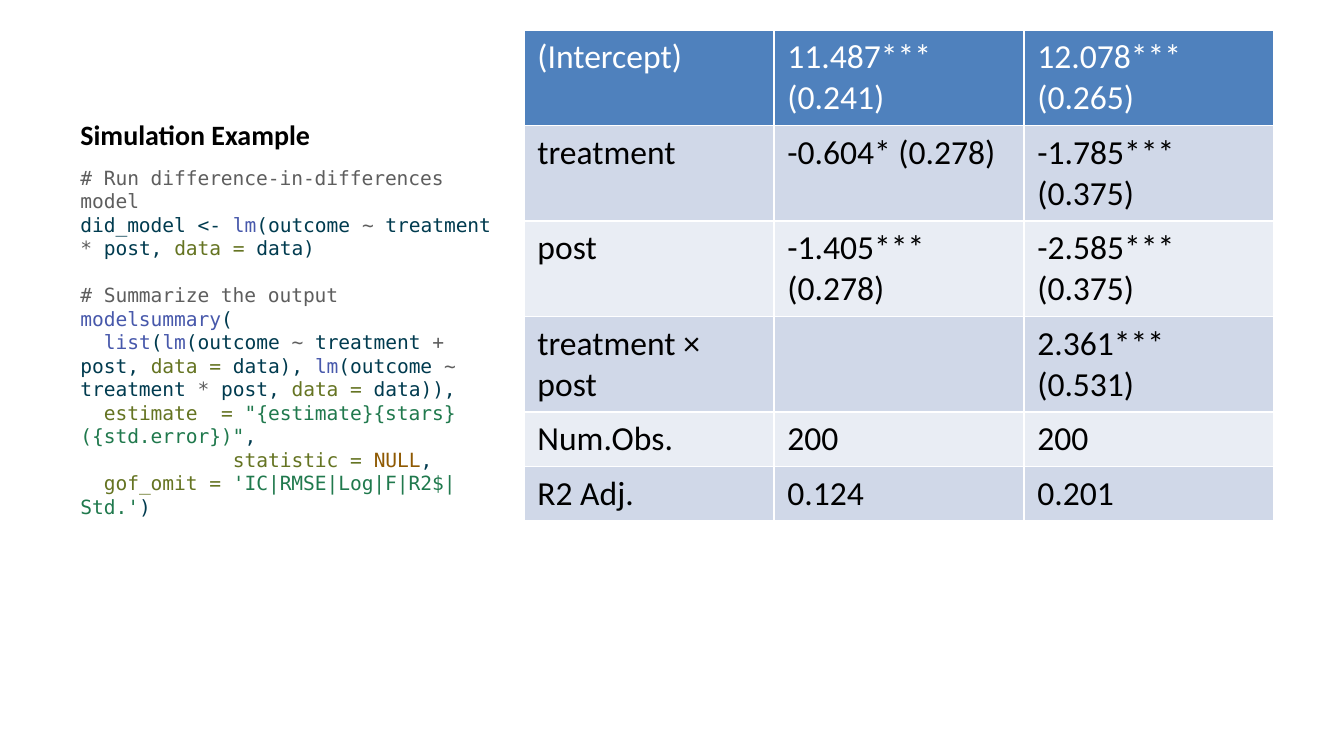
"""Build a slide with simulation code beside its regression table."""
from copy import deepcopy
from dataclasses import dataclass
from typing import NamedTuple

from pptx import Presentation
from pptx import util as u
from pptx.dml import color
from pptx.enum import text

PX = u.Inches(10) / 1344


@dataclass(frozen=True)
class Theme:
    heading_font: str = "Calibri"
    code_font: str = "DejaVu Sans Mono"
    title_size: float = 15
    code_size: float = 10.5
    table_size: float = 18
    black: str = "000000"
    white: str = "FFFFFF"
    header: str = "4F81BD"
    bands: tuple[str, str] = ("E9EDF4", "D0D8E8")
    plain: str = "003B4F"
    muted: str = "5E5E5E"
    function: str = "4758AB"
    argument: str = "657422"
    string: str = "20794D"
    constant: str = "8F5902"


class Token(NamedTuple):
    text: str
    color: str


class Frame(NamedTuple):
    left: int
    top: int
    width: int
    height: int

    def emu(self) -> list[int]:
        return [px(length) for length in self]


THEME = Theme()
TITLE_FRAME = Frame(67, 30, 442, 128)
CODE_FRAME = Frame(67, 159, 442, 517)
TABLE_FRAME = Frame(524, 30, 750, 488)
TALL_ROW, SHORT_ROW = 95, 54
TALL_ROWS = 4

RESULTS = [
    ("(Intercept)", "11.487*** (0.241)", "12.078*** (0.265)"),
    ("treatment", "-0.604* (0.278)", "-1.785*** (0.375)"),
    ("post", "-1.405*** (0.278)", "-2.585*** (0.375)"),
    ("treatment × post", "", "2.361*** (0.531)"),
    ("Num.Obs.", "200", "200"),
    ("R2 Adj.", "0.124", "0.201"),
]


def px(length: int) -> int:
    return round(length * PX)


def lm_call(operator: str) -> list[Token]:
    return [
        Token("lm", THEME.function),
        Token("(outcome ", THEME.plain),
        Token("~", THEME.muted),
        Token(" treatment ", THEME.plain),
        Token(operator, THEME.muted),
        Token(" post, ", THEME.plain),
        Token("data =", THEME.argument),
        Token(" data)", THEME.plain),
    ]


CODE = [
    [Token("# Run difference-in-differences model", THEME.muted)],
    [Token("did_model <- ", THEME.plain), *lm_call("*")],
    [],
    [Token("# Summarize the output", THEME.muted)],
    [Token("modelsummary", THEME.function), Token("(", THEME.plain)],
    [Token("  ", THEME.plain), Token("list", THEME.function), Token("(", THEME.plain),
     *lm_call("+"), Token(", ", THEME.plain), *lm_call("*"), Token("),", THEME.plain)],
    [Token("  ", THEME.plain), Token("estimate  = ", THEME.argument),
     Token('"{estimate}{stars} ({std.error})"', THEME.string), Token(",", THEME.plain)],
    [Token("             ", THEME.plain), Token("statistic = ", THEME.argument),
     Token("NULL", THEME.constant), Token(",", THEME.plain)],
    [Token("  ", THEME.plain), Token("gof_omit = ", THEME.argument),
     Token("'IC|RMSE|Log|F|R2$|Std.'", THEME.string), Token(")", THEME.plain)],
]


def add_span(para, token: Token, font: str, size: float, bold: bool = False):
    span = para.add_run()
    span.text = token.text
    span.font.name = font
    span.font.size = u.Pt(size)
    span.font.bold = bold
    span.font.color.rgb = color.RGBColor.from_string(token.color)
    return span


def place(box, frame: Frame, anchor: text.MSO_ANCHOR):
    box.left, box.top, box.width, box.height = frame.emu()
    box.text_frame.auto_size = text.MSO_AUTO_SIZE.NONE
    box.text_frame.word_wrap = True
    box.text_frame.vertical_anchor = anchor
    return box.text_frame.paragraphs[0]


def draw_title(box) -> None:
    para = place(box, TITLE_FRAME, text.MSO_ANCHOR.BOTTOM)
    para.alignment = text.PP_ALIGN.LEFT
    token = Token("Simulation Example", THEME.black)
    add_span(para, token, THEME.heading_font, THEME.title_size, bold=True)


def draw_code(box) -> None:
    para = place(box, CODE_FRAME, text.MSO_ANCHOR.TOP)
    for number, line in enumerate(CODE):
        if number:
            para.add_line_break()
            para._p[-1].append(deepcopy(span._r.rPr))
        for token in line:
            span = add_span(para, token, THEME.code_font, THEME.code_size)


def draw_results(page) -> None:
    table = page.shapes.add_table(len(RESULTS), len(RESULTS[0]), *TABLE_FRAME.emu()).table
    for number, values in enumerate(RESULTS):
        table.rows[number].height = px(TALL_ROW if number < TALL_ROWS else SHORT_ROW)
        fill = THEME.bands[number % 2] if number else THEME.header
        ink = THEME.black if number else THEME.white
        for cell, value in zip(table.rows[number].cells, values):
            cell.fill.solid()
            cell.fill.fore_color.rgb = color.RGBColor.from_string(fill)
            if value:
                para = cell.text_frame.paragraphs[0]
                add_span(para, Token(value, ink), THEME.heading_font, THEME.table_size)


def main() -> None:
    deck = Presentation()
    deck.slide_width, deck.slide_height = px(1344), px(756)
    page = deck.slides.add_slide(deck.slide_layouts.get_by_name("Content with Caption"))
    title, content, body = page.placeholders
    content.element.getparent().remove(content.element)
    draw_title(title)
    draw_code(body)
    draw_results(page)
    deck.save("out.pptx")


if __name__ == "__main__":
    main()
